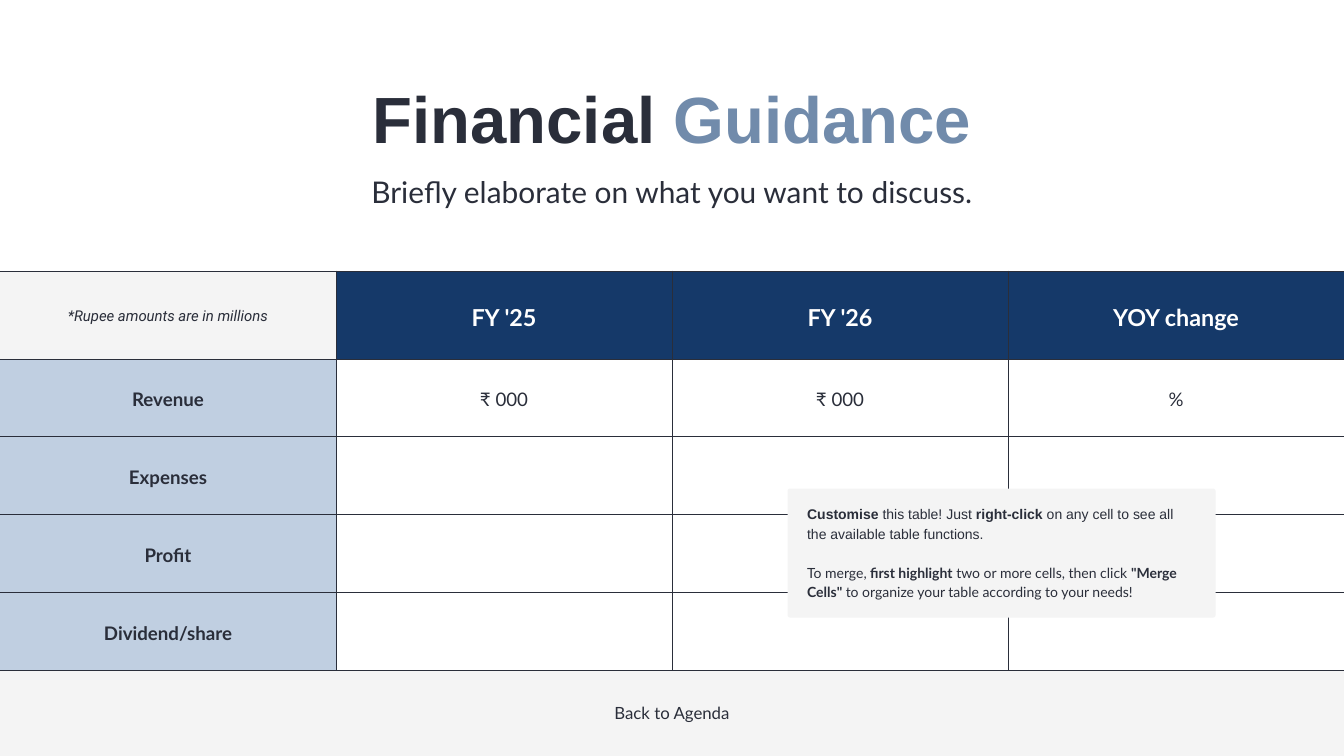
from dataclasses import dataclass

import pptx
import pptx.dml.color
import pptx.enum.shapes
import pptx.enum.text
import pptx.oxml
import pptx.oxml.ns
import pptx.util
from pptx.util import Inches

ALIGN = pptx.enum.text.PP_ALIGN
ANCHOR = pptx.enum.text.MSO_ANCHOR
SHAPE = pptx.enum.shapes.MSO_SHAPE


@dataclass(frozen=True)
class Theme:
    ink: str = "2A2E3A"
    accent: str = "718BAB"
    navy: str = "153969"
    label: str = "C0CFE1"
    pale: str = "F4F4F4"
    white: str = "FFFFFF"
    heading: str = "Arial"
    body: str = "Lato"
    note: str = "Roboto"
    title_size: int = 70
    subtitle_size: int = 32
    header_size: int = 25
    cell_size: int = 20
    link_size: int = 18
    note_size: int = 16
    tip_size: int = 15
    border: float = 0.75


THEME = Theme()

HEADERS = ["*Rupee amounts are in millions", "FY '25", "FY '26", "YOY change"]
ROWS = [
    ["Revenue", "₹ 000", "₹ 000", "%"],
    ["Expenses", "", "", ""],
    ["Profit", "", "", ""],
    ["Dividend/share", "", "", ""],
]
# Each tip alternates regular and bold pieces, starting with regular.
TIPS = [
    (THEME.heading, ["", "Customise", " this table! Just ", "right-click",
                     " on any cell to see all the available table functions."]),
    (THEME.body, ["To merge,", " first highlight",
                  " two or more cells, then click ", '"Merge Cells" ',
                  "to organize your table according to your needs!"]),
]


def rgb(color):
    return pptx.dml.color.RGBColor.from_string(color)


def add_run(paragraph, text, font, size, color=THEME.ink, bold=False, italic=False):
    run = paragraph.add_run()
    run.text = text
    run.font.name = font
    run.font.size = pptx.util.Pt(size)
    run.font.color.rgb = rgb(color)
    run.font.bold = bold
    run.font.italic = italic


def set_paragraph(paragraph, spacing, align=ALIGN.CENTER):
    paragraph.alignment = align
    paragraph.line_spacing = pptx.util.Pt(spacing)


def set_frame(frame, anchor, left=0, top=0, right=0, bottom=0):
    frame.word_wrap = True
    frame.auto_size = pptx.enum.text.MSO_AUTO_SIZE.NONE
    frame.vertical_anchor = anchor
    frame.margin_left, frame.margin_top = Inches(left), Inches(top)
    frame.margin_right, frame.margin_bottom = Inches(right), Inches(bottom)


def add_panel(slide, kind, left, top, width, height):
    panel = slide.shapes.add_shape(
        kind, Inches(left), Inches(top), Inches(width), Inches(height))
    panel.shadow.inherit = False
    panel.fill.solid()
    panel.fill.fore_color.rgb = rgb(THEME.pale)
    panel.line.fill.background()
    return panel


def add_heading(slide):
    title = slide.shapes.title
    title.left, title.top = Inches(2.86), Inches(1.06)
    title.width, title.height = Inches(14.28), Inches(1.23)
    set_frame(title.text_frame, ANCHOR.TOP)
    words = title.text_frame.paragraphs[0]
    set_paragraph(words, 91)
    for text, color in (("Financial ", THEME.ink), ("Guidance", THEME.accent)):
        add_run(words, text, THEME.heading, THEME.title_size, color, bold=True)

    subtitle = slide.shapes.add_textbox(
        Inches(3.56), Inches(2.5), Inches(12.88), Inches(0.58))
    set_frame(subtitle.text_frame, ANCHOR.TOP)
    line = subtitle.text_frame.paragraphs[0]
    set_paragraph(line, 44.8)
    add_run(line, "Briefly elaborate on what you want to discuss.",
            THEME.body, THEME.subtitle_size)


def set_borders(cell, open_sides):
    properties = cell._tc.get_or_add_tcPr()
    width = pptx.util.Pt(THEME.border)
    for side in "LRTB":
        paint = ("<a:noFill/>" if side in open_sides else
                 f'<a:solidFill><a:srgbClr val="{THEME.ink}"/></a:solidFill>')
        properties.append(pptx.oxml.parse_xml(
            f'<a:ln{side} {pptx.oxml.ns.nsdecls("a")} w="{width}">{paint}</a:ln{side}>'))


def fill_cell(cell, fill):
    if fill:
        cell.fill.solid()
        cell.fill.fore_color.rgb = rgb(fill)
    else:
        cell.fill.background()


def write_cell(cell, text, spacing, font, size, **style):
    cell.vertical_anchor = ANCHOR.MIDDLE
    cell.margin_left = cell.margin_right = Inches(0.21)
    cell.margin_top = cell.margin_bottom = Inches(0.21)
    paragraph = cell.text_frame.paragraphs[0]
    set_paragraph(paragraph, spacing)
    add_run(paragraph, text, font, size, **style)


def add_guidance_table(slide):
    content = [HEADERS] + ROWS
    last = len(HEADERS) - 1
    table = slide.shapes.add_table(
        len(content), len(HEADERS), 0, Inches(4.03), Inches(20), Inches(5.95)).table
    table.first_row = table.horz_banding = False
    for column in table.columns:
        column.width = Inches(5)
    for r, texts in enumerate(content):
        table.rows[r].height = Inches(1.16 if r else 1.31)
        for c, text in enumerate(texts):
            cell = table.cell(r, c)
            set_borders(cell, {0: "L", last: "R"}.get(c, ""))
            if r == 0 and c == 0:
                fill_cell(cell, THEME.pale)
                write_cell(cell, text, 22.4, THEME.note, THEME.note_size, italic=True)
            elif r == 0:
                fill_cell(cell, THEME.navy)
                write_cell(cell, text, 35, THEME.body, THEME.header_size,
                           color=THEME.white, bold=True)
            else:
                fill_cell(cell, None if c else THEME.label)
                if text:
                    write_cell(cell, text, 28, THEME.body, THEME.cell_size, bold=c == 0)


def add_tip(slide):
    tip = add_panel(slide, SHAPE.ROUNDED_RECTANGLE, 11.72, 7.27, 6.37, 1.92)
    tip.adjustments[0] = 0.02
    frame = tip.text_frame
    set_frame(frame, ANCHOR.MIDDLE, left=0.28, top=0.2, right=0.28, bottom=0.24)
    for i, (font, pieces) in enumerate(TIPS):
        paragraph = frame.add_paragraph() if i else frame.paragraphs[0]
        set_paragraph(paragraph, 21, ALIGN.LEFT)
        if i:
            paragraph.space_before = pptx.util.Pt(21)
        for j, piece in enumerate(pieces):
            if piece:
                add_run(paragraph, piece, font, THEME.tip_size, bold=j % 2 == 1)


def add_footer(slide):
    footer = add_panel(slide, SHAPE.RECTANGLE, 0, 9.98, 20, 1.27)
    set_frame(footer.text_frame, ANCHOR.MIDDLE, bottom=0.04)
    link = footer.text_frame.paragraphs[0]
    set_paragraph(link, 23.4)
    add_run(link, "Back to Agenda", THEME.body, THEME.link_size)


def main():
    deck = pptx.Presentation()
    deck.slide_width, deck.slide_height = Inches(20), Inches(11.25)
    slide = deck.slides.add_slide(deck.slide_layouts[5])
    add_footer(slide)
    add_heading(slide)
    add_guidance_table(slide)
    add_tip(slide)
    deck.save("out.pptx")


if __name__ == "__main__":
    main()
